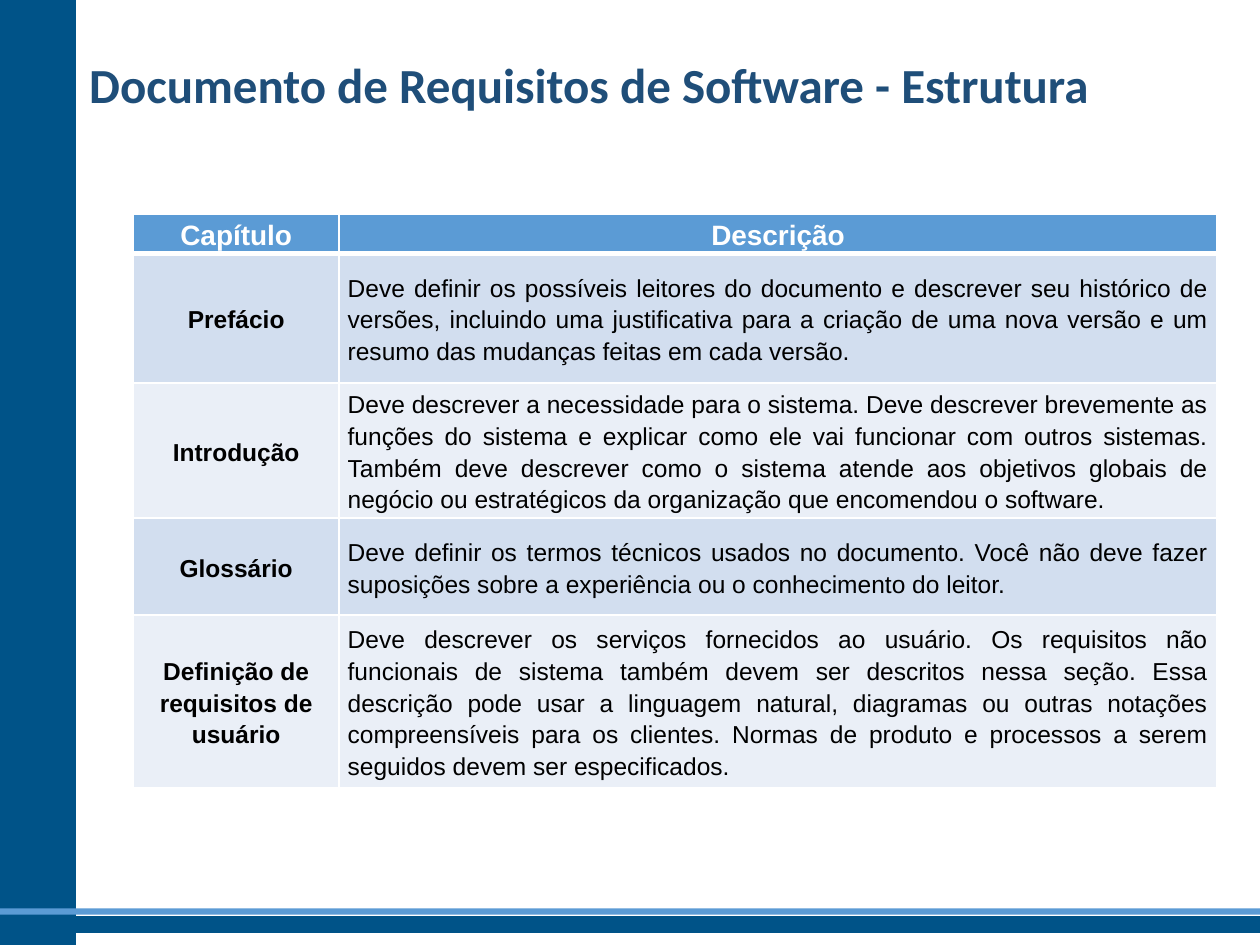
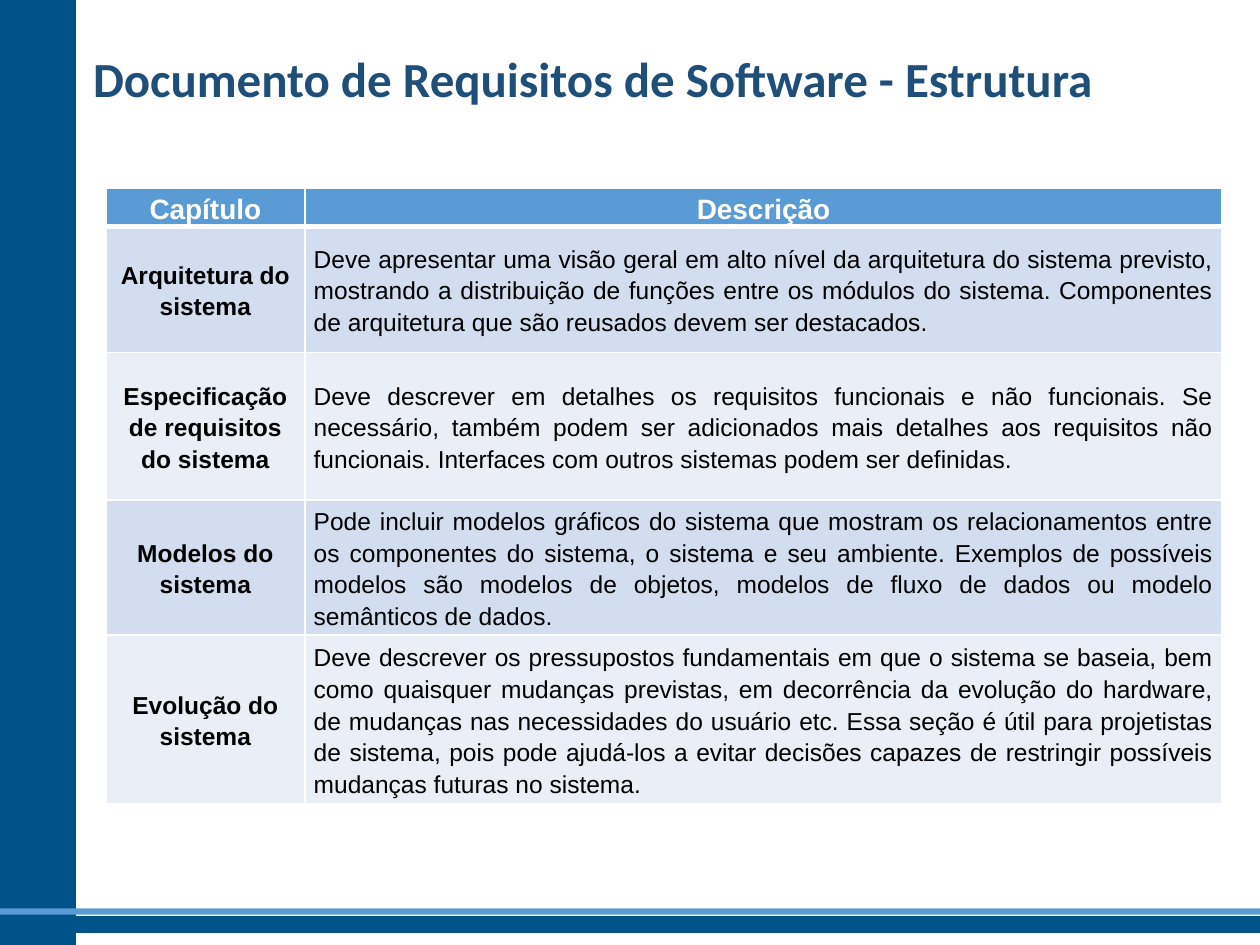
from lxml import etree
from pptx import Presentation
from pptx.dml.color import RGBColor
from pptx.enum.shapes import MSO_SHAPE
from pptx.enum.text import MSO_ANCHOR, PP_ALIGN
from pptx.oxml.ns import qn
from pptx.util import Inches, Pt

RECT = MSO_SHAPE.RECTANGLE
MIDDLE = MSO_ANCHOR.MIDDLE
LEFT, CENTER, JUSTIFY = PP_ALIGN.LEFT, PP_ALIGN.CENTER, PP_ALIGN.JUSTIFY

COLORS = {
    "navy": "005388", "blue": "5B9BD5", "title": "1F4E79",
    "dark": "D2DEEF", "light": "EAEFF7", "white": "FFFFFF", "black": "000000",
}
TITLE = "Documento de Requisitos de Software - Estrutura"
HEAD = ("Capítulo", "Descrição")

# Bands on every slide: left, top, width, height, colour, outlined
BANDS = [
    (0, 0, 0.6, 7.5, "navy", True),
    (0, 7.28, 10, 0.12, "navy", True),
    (0, 7.21, 10, 0.05, "blue", False),
]

SLIDES = [
    {
        "title": (0.61, 0.22, 9.08, 0.9),
        "table": (1.06, 1.7),
        "cols": (1.63, 6.97),
        "rows": (0.31, 1.03, 1, 0.77, 1.37),
        "text": [
            ("Prefácio",
             "Deve definir os possíveis leitores do documento e descrever seu "
             "histórico de versões, incluindo uma justificativa para a criação "
             "de uma nova versão e um resumo das mudanças feitas em cada versão."),
            ("Introdução",
             "Deve descrever a necessidade para o sistema. Deve descrever "
             "brevemente as funções do sistema e explicar como ele vai funcionar "
             "com outros sistemas. Também deve descrever como o sistema atende "
             "aos objetivos globais de negócio ou estratégicos da organização "
             "que encomendou o software."),
            ("Glossário",
             "Deve definir os termos técnicos usados no documento. Você não deve "
             "fazer suposições sobre a experiência ou o conhecimento do leitor."),
            ("Definição de requisitos de usuário",
             "Deve descrever os serviços fornecidos ao usuário. Os requisitos "
             "não funcionais de sistema também devem ser descritos nessa seção. "
             "Essa descrição pode usar a linguagem natural, diagramas ou outras "
             "notações compreensíveis para os clientes. Normas de produto e "
             "processos a serem seguidos devem ser especificados."),
        ],
    },
    {
        "title": (0.64, 0.17, 9.36, 0.9),
        "table": (0.84, 1.49),
        "cols": (1.58, 7.28),
        "rows": (0.26, 1, 1.17, 1.03, 1.34),
        "text": [
            ("Arquitetura do sistema",
             "Deve apresentar uma visão geral em alto nível da arquitetura do "
             "sistema previsto, mostrando a distribuição de funções entre os "
             "módulos do sistema. Componentes de arquitetura que são reusados "
             "devem ser destacados."),
            ("Especificação de requisitos do sistema",
             "Deve descrever em detalhes os requisitos funcionais e não "
             "funcionais. Se necessário, também podem ser adicionados mais "
             "detalhes aos requisitos não funcionais. Interfaces com outros "
             "sistemas podem ser definidas."),
            ("Modelos do sistema",
             "Pode incluir modelos gráficos do sistema que mostram os "
             "relacionamentos entre os componentes do sistema, o sistema e seu "
             "ambiente. Exemplos de possíveis modelos são modelos de objetos, "
             "modelos de fluxo de dados ou modelo semânticos de dados."),
            ("Evolução do sistema",
             "Deve descrever os pressupostos fundamentais em que o sistema se "
             "baseia, bem como quaisquer mudanças previstas, em decorrência da "
             "evolução do hardware, de mudanças nas necessidades do usuário etc. "
             "Essa seção é útil para projetistas de sistema, pois pode ajudá-los "
             "a evitar decisões capazes de restringir possíveis mudanças futuras "
             "no sistema."),
        ],
    },
]


def write(frame, text, font, size, color, bold, align):
    frame.word_wrap = True
    par = frame.paragraphs[0]
    par.alignment = align
    run = par.add_run()
    run.text = text
    run.font.name = font
    run.font.size = Pt(size)
    run.font.bold = bold
    run.font.color.rgb = RGBColor.from_string(COLORS[color])
    return par


def border(cell, side, width):
    props = cell._tc.get_or_add_tcPr()
    line = etree.SubElement(props, qn("a:" + side), w=str(Pt(width)))
    fill = etree.SubElement(line, qn("a:solidFill"))
    etree.SubElement(fill, qn("a:srgbClr"), val=COLORS["white"])


prs = Presentation()
prs.slide_width, prs.slide_height = Inches(10), Inches(7.5)

for page in SLIDES:
    slide = prs.slides.add_slide(prs.slide_layouts[6])

    # Bands
    for *place, color, lined in BANDS:
        band = slide.shapes.add_shape(RECT, *map(Inches, place))
        band.shadow.inherit = False
        band.fill.solid()
        band.fill.fore_color.rgb = RGBColor.from_string(COLORS[color])
        if lined:
            band.line.color.rgb = RGBColor.from_string(COLORS[color])
            band.line.width = Pt(1)
        else:
            band.line.fill.background()

    # Title
    box = slide.shapes.add_textbox(*map(Inches, page["title"]))
    box.text_frame.vertical_anchor = MIDDLE
    write(box.text_frame, TITLE, "Calibri", 28, "title", True, LEFT)

    # Table of chapters
    cols, rows = page["cols"], page["rows"]
    size = (sum(cols), sum(rows))
    table = slide.shapes.add_table(
        len(rows), len(cols), *map(Inches, page["table"] + size)).table
    for col, width in zip(table.columns, cols):
        col.width = Inches(width)
    for row, height in zip(table.rows, rows):
        row.height = Inches(height)

    for r, texts in enumerate([HEAD] + page["text"]):
        head = r == 0
        shade = "blue" if head else "dark" if r % 2 else "light"
        for c, text in enumerate(texts):
            cell = table.cell(r, c)
            cell.vertical_anchor = MIDDLE
            cell.margin_left = cell.margin_right = Inches(0.07)
            cell.margin_top = cell.margin_bottom = 0
            for side in ("lnL", "lnR", "lnT", "lnB"):
                thick = head and side == "lnB" or r == 1 and side == "lnT"
                border(cell, side, 3 if thick else 1)
            cell.fill.solid()
            cell.fill.fore_color.rgb = RGBColor.from_string(COLORS[shade])
            par = write(cell.text_frame, text, "Arial", 16 if head else 14,
                        "white" if head else "black", head or c == 0,
                        CENTER if head or c == 0 else JUSTIFY)
            par.line_spacing = 1.15

prs.save("out.pptx")
